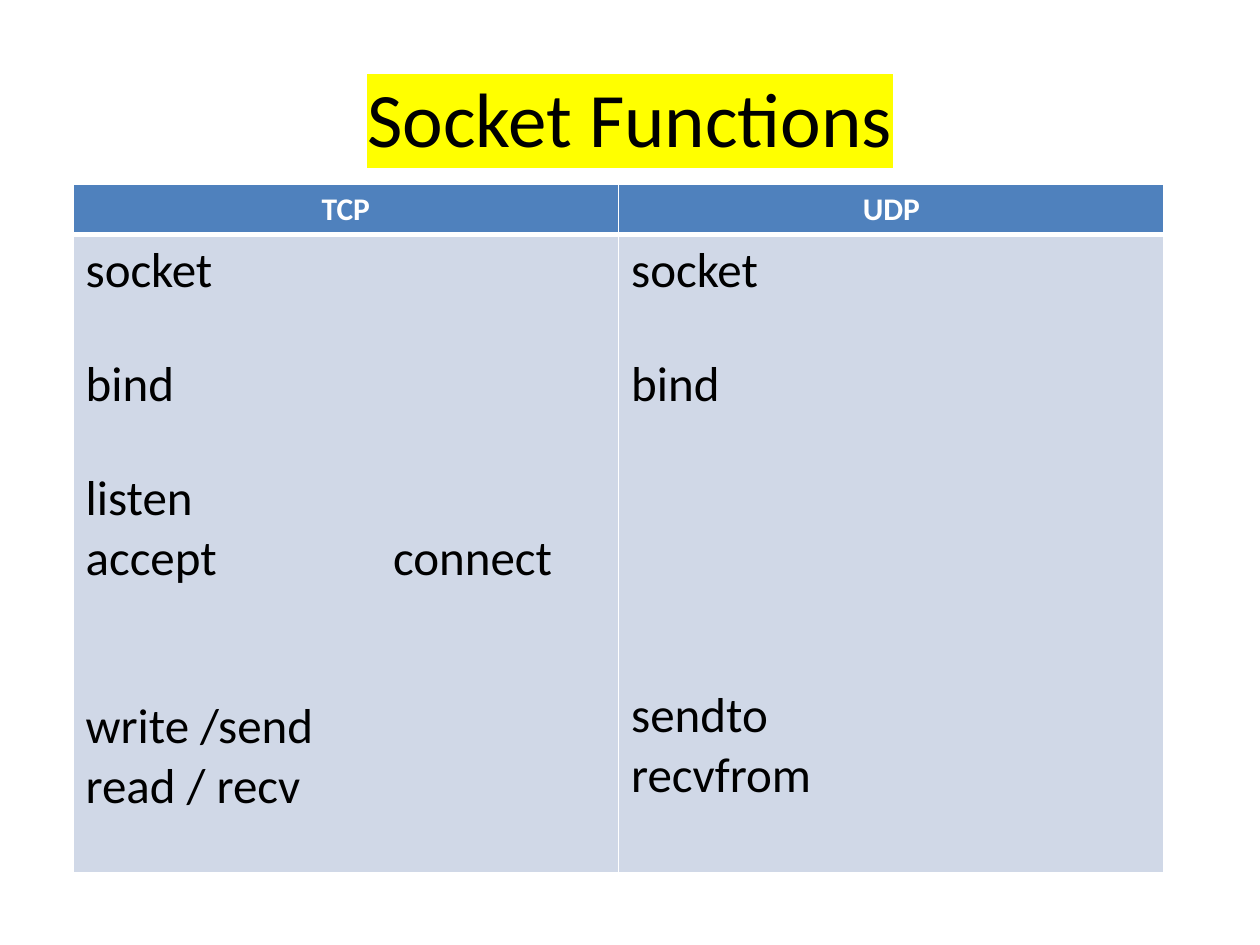
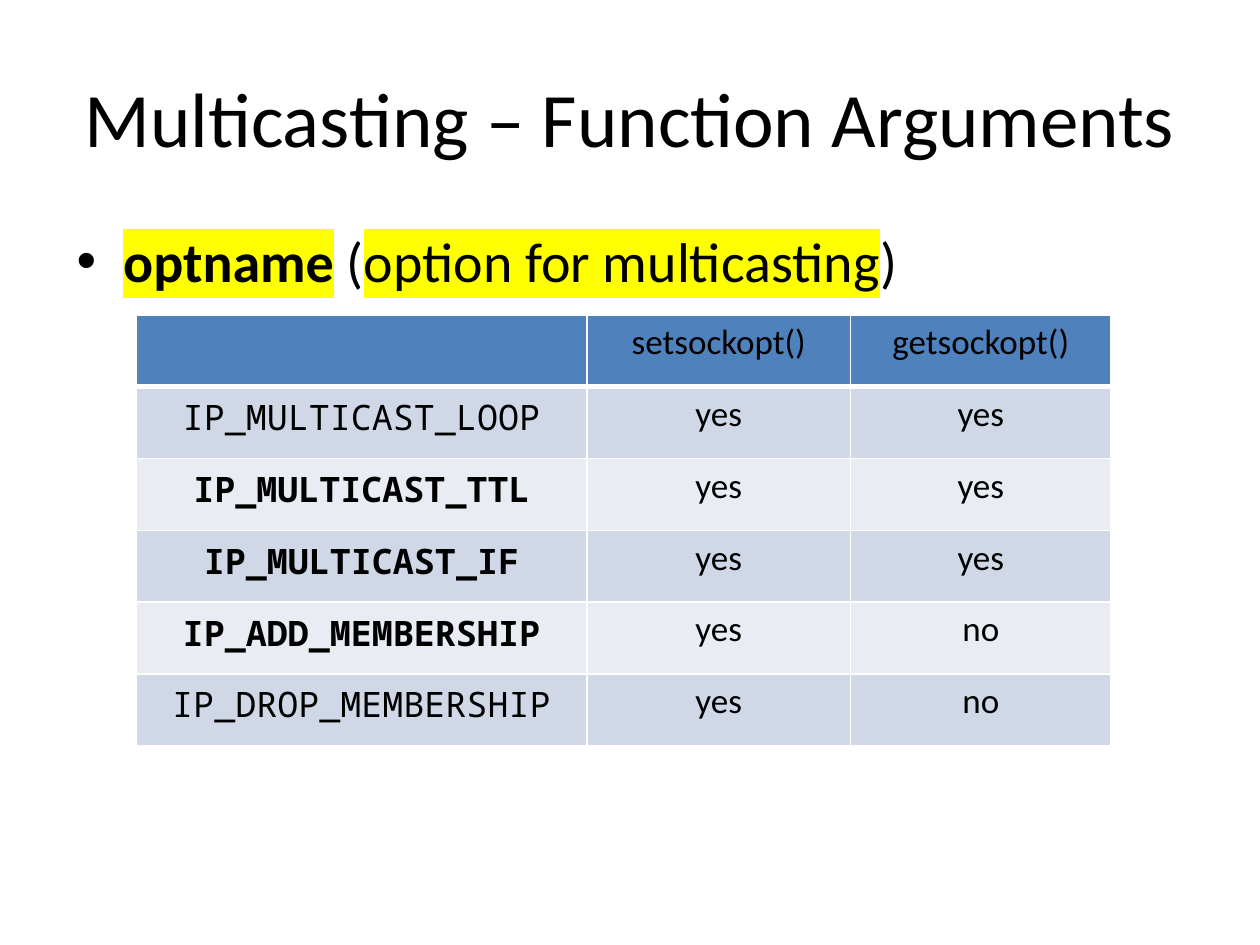
"""Build two slides on socket functions and multicasting options."""
from lxml import etree
from pptx import Presentation
from pptx.dml.color import RGBColor
from pptx.enum.text import MSO_ANCHOR, PP_ALIGN
from pptx.oxml.ns import qn
from pptx.util import Inches, Pt

CENTER, LEFT = PP_ALIGN.CENTER, PP_ALIGN.LEFT
MIDDLE, TOP = MSO_ANCHOR.MIDDLE, MSO_ANCHOR.TOP
BODY_FONT, CODE_FONT = "Calibri", "Noto Sans Mono"
BLACK, WHITE, YELLOW = "000000", "FFFFFF", "FFFF00"
HEADER_FILL, BAND_FILLS = "4F81BD", ("D0D8E7", "E9ECF3")
THIN, THICK = 0.96, 3

SOCKET_TITLE = "Socket Functions"
SOCKET_COLUMNS = {
    "TCP": [("socket", 0), ("bind", 31), ("listen", 31), ("accept\tconnect", 0),
            ("write /send", 62), ("read / recv", 0)],
    "UDP": [("socket", 0), ("bind", 31), ("sendto", 155), ("recvfrom", 0)],
}
CONNECT_TAB = 2.44

OPTION_TITLE = "Multicasting – Function Arguments"
OPTION_BULLET = [("optname", True, YELLOW), (" (", False, None),
                 ("option for multicasting", False, YELLOW), (")", False, None)]
OPTION_ROWS = [
    ("", "setsockopt()", "getsockopt()"),
    ("IP_MULTICAST_LOOP", "yes", "yes"),
    ("IP_MULTICAST_TTL", "yes", "yes"),
    ("IP_MULTICAST_IF", "yes", "yes"),
    ("IP_ADD_MEMBERSHIP", "yes", "no"),
    ("IP_DROP_MEMBERSHIP", "yes", "no"),
]
BOLD_OPTIONS = {"IP_MULTICAST_TTL", "IP_MULTICAST_IF", "IP_ADD_MEMBERSHIP"}


def rgb(value):
    """Turn a hex string into a colour."""
    return RGBColor.from_string(value)


def add_colour(parent, value):
    """Append a hex colour element to an XML parent."""
    etree.SubElement(parent, qn("a:srgbClr"), val=value)


def style_run(run, size, colour=BLACK, bold=False, font=BODY_FONT, highlight=None):
    """Format one run, with an optional highlight."""
    run.font.size = Pt(size)
    run.font.bold = bold
    run.font.name = font
    run.font.color.rgb = rgb(colour)
    if highlight:
        properties = run.font._element
        mark = etree.Element(qn("a:highlight"))
        add_colour(mark, highlight)
        properties.find(qn("a:latin")).addprevious(mark)


def write(paragraph, text, size, align=LEFT, **style):
    """Fill a paragraph with one styled run."""
    paragraph.text = text
    paragraph.alignment = align
    for run in paragraph.runs:
        style_run(run, size, **style)


def add_text_frame(slide, left, top, width, height, anchor=TOP):
    """Add a wrapping text box and return its frame."""
    shape = slide.shapes.add_textbox(*map(Inches, (left, top, width, height)))
    frame = shape.text_frame
    frame.word_wrap = True
    frame.vertical_anchor = anchor
    return frame


def add_title_slide(presentation, title, highlight=None):
    """Add a blank slide with the shared title style."""
    slide = presentation.slides.add_slide(presentation.slide_layouts[6])
    frame = add_text_frame(slide, 0.5, 0.3, 9, 1.25, MIDDLE)
    write(frame.paragraphs[0], title, 44, CENTER, highlight=highlight)
    return slide


def set_borders(cell, top, bottom):
    """Draw white borders around a cell."""
    properties = cell._tc.get_or_add_tcPr()
    sides = {"L": THIN, "R": THIN, "T": top, "B": bottom}
    for index, (side, width) in enumerate(sides.items()):
        line = etree.Element(qn(f"a:ln{side}"), w=str(int(Pt(width))))
        add_colour(etree.SubElement(line, qn("a:solidFill")), WHITE)
        properties.insert(index, line)


def add_banded_table(slide, left, top, widths, heights):
    """Add a table with a header fill, bands and white borders."""
    size = map(Inches, (left, top, sum(widths), sum(heights)))
    table = slide.shapes.add_table(len(heights), len(widths), *size).table
    for column, width in zip(table.columns, widths):
        column.width = Inches(width)
    for index, (row, height) in enumerate(zip(table.rows, heights)):
        row.height = Inches(height)
        fill = BAND_FILLS[(index - 1) % 2] if index else HEADER_FILL
        for cell in row.cells:
            cell.fill.solid()
            cell.fill.fore_color.rgb = rgb(fill)
            set_borders(cell, THICK if index == 1 else THIN, THIN if index else THICK)
    return table


def add_tab_stop(paragraph, position):
    """Give a paragraph a left tab stop."""
    tabs = etree.SubElement(paragraph._p.get_or_add_pPr(), qn("a:tabLst"))
    etree.SubElement(tabs, qn("a:tab"), pos=str(Inches(position)), algn="l")


def build_socket_slide(presentation):
    """Compare the TCP and UDP calls."""
    slide = add_title_slide(presentation, SOCKET_TITLE, YELLOW)
    table = add_banded_table(slide, 0.58, 1.46, [4.33] * 2, [0.39, 5.07])
    for column, (protocol, calls) in enumerate(SOCKET_COLUMNS.items()):
        header = table.cell(0, column).text_frame.paragraphs[0]
        write(header, protocol, 18, CENTER, colour=WHITE, bold=True)
        frame = table.cell(1, column).text_frame
        for index, (call, gap) in enumerate(calls):
            paragraph = frame.add_paragraph() if index else frame.paragraphs[0]
            write(paragraph, call, 28)
            paragraph.space_before = Pt(gap)
            if "\t" in call:
                add_tab_stop(paragraph, CONNECT_TAB)


def build_option_slide(presentation):
    """List which calls accept each multicast option."""
    slide = add_title_slide(presentation, OPTION_TITLE)
    paragraph = add_text_frame(slide, 0.5, 1.75, 9, 4.95).paragraphs[0]
    paragraph.space_before = Pt(6.4)
    properties = paragraph._p.get_or_add_pPr()
    properties.set("marL", str(Inches(0.38)))
    properties.set("indent", str(Inches(-0.37)))
    etree.SubElement(properties, qn("a:buFont"), typeface="Arial")
    etree.SubElement(properties, qn("a:buChar"), char="•")
    for text, bold, highlight in OPTION_BULLET:
        run = paragraph.add_run()
        run.text = text
        style_run(run, 32, bold=bold, highlight=highlight)

    table = add_banded_table(slide, 1.08, 2.5, [3.58, 2.09, 2.07], [0.57] * len(OPTION_ROWS))
    for row, values in enumerate(OPTION_ROWS):
        for column, value in enumerate(values):
            cell = table.cell(row, column)
            cell.margin_left = cell.margin_right = Inches(0.01)
            write(cell.text_frame.paragraphs[0], value, 20, CENTER,
                  bold=value in BOLD_OPTIONS, font=BODY_FONT if column else CODE_FONT)


presentation = Presentation()
presentation.slide_width, presentation.slide_height = Inches(10), Inches(7.5)
build_socket_slide(presentation)
build_option_slide(presentation)
presentation.save("out.pptx")
